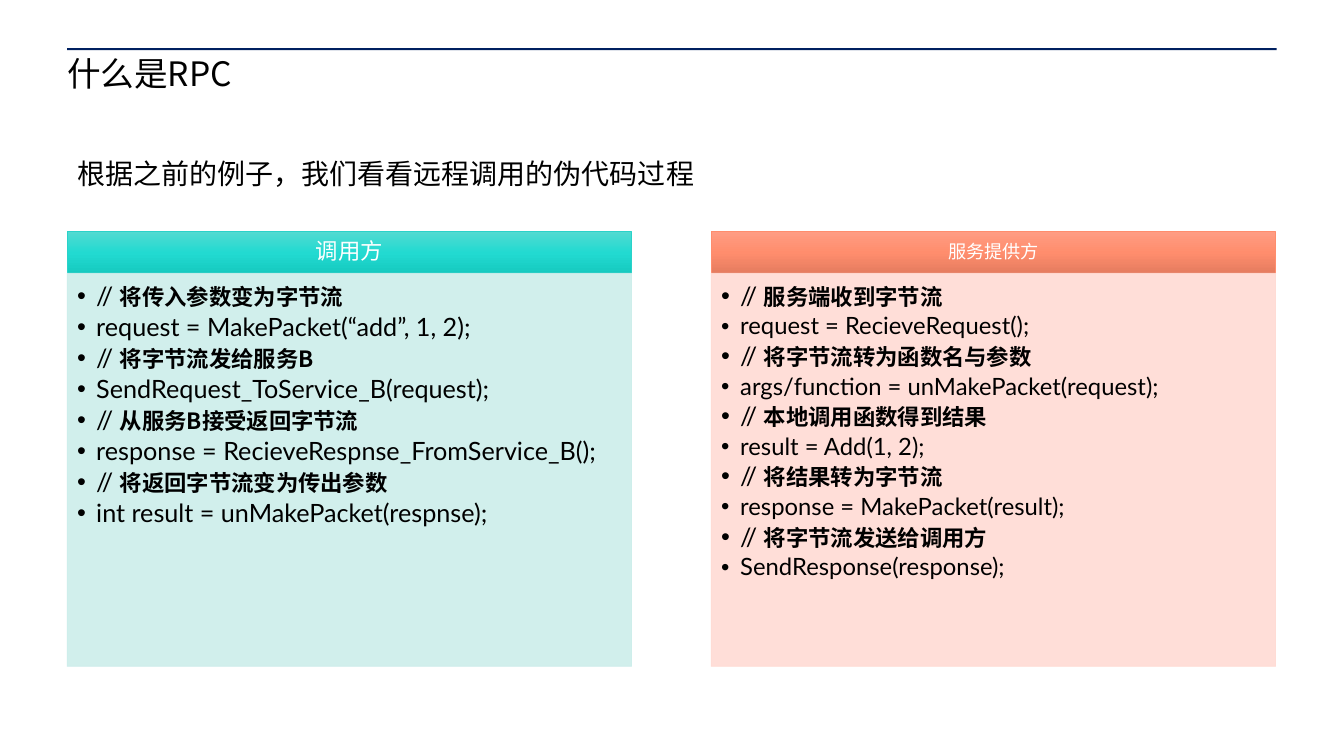
"""Build the slide that shows both sides of a remote call."""
from dataclasses import dataclass

from lxml.etree import SubElement as Sub
from pptx import Presentation
from pptx.dml.color import RGBColor as Rgb
from pptx.enum.shapes import MSO_SHAPE as Kind
from pptx.enum.text import MSO_ANCHOR as Anchor, PP_ALIGN as Align
from pptx.oxml.ns import qn
from pptx.util import Pt

HAN = "Noto Sans CJK SC"
LATO = "Lato"
LEFT, WIDE, GAP = 48, 403.2, 56.8
TOP, HEAD, BODY = 165.6, 29.6, 280.8


@dataclass(frozen=True)
class Panel:
    title: str
    size: float
    inset: tuple[float, ...]
    shades: tuple[str, ...]
    edge: str
    tint: str
    code: float
    steps: tuple[tuple[str, str], ...]


PANELS = (
    Panel("调用方", 16, (8.6, 5, 8.6, 5), ("52DAD1", "22DAD1", "16CAC0"), "2AD2C9", "CDEEEB", 18, (
        ("将传入参数变为字节流", "request = MakePacket(“add”, 1, 2);"),
        ("将字节流发给服务B", "SendRequest_ToService_B(request);"),
        ("从服务B接受返回字节流", "response = RecieveRespnse_FromService_B();"),
        ("将返回字节流变为传出参数", "int result = unMakePacket(respnse);"),
    )),
    Panel("服务提供方", 13, (7.2, 4.3, 7.2, 4.3), ("FF9C83", "FF8D6D", "E57C5F"), "FF8D6D", "FFDBD4", 17, (
        ("服务端收到字节流", "request = RecieveRequest();"),
        ("将字节流转为函数名与参数", "args/function = unMakePacket(request);"),
        ("本地调用函数得到结果", "result = Add(1, 2);"),
        ("将结果转为字节流", "response = MakePacket(result);"),
        ("将字节流发送给调用方", "SendResponse(response);"),
    )),
)


def tone(code: str) -> Rgb:
    return Rgb.from_string(code)


def fade(color, share: int) -> None:
    Sub(color, qn("a:alpha"), val=str(share * 1000))


def add_run(para, text: str, size: float, face: str, color: str = "000000", bold: bool = False) -> None:
    run = para.add_run()
    run.text = text
    font = run.font
    font.size, font.bold, font.name = Pt(size), bold, face
    font.color.rgb = tone(color)
    Sub(run._r.get_or_add_rPr(), qn("a:ea"), typeface=HAN)


def set_frame(frame, inset: tuple[float, ...], wrap: bool = True, anchor=Anchor.TOP) -> None:
    frame.word_wrap, frame.vertical_anchor = wrap, anchor
    (frame.margin_left, frame.margin_top,
     frame.margin_right, frame.margin_bottom) = map(Pt, inset)


def add_box(slide, x: float, y: float, w: float, h: float, color: str):
    box = slide.shapes.add_shape(Kind.RECTANGLE, Pt(x), Pt(y), Pt(w), Pt(h))
    box.shadow.inherit = False
    box.fill.solid()
    box.fill.fore_color.rgb = tone(color)
    box.line.color.rgb = tone(color)
    box.line.width = Pt(0.5)
    return box


def add_note(slide, y: float, w: float, h: float, text: str, size: float,
             inset: tuple[float, ...], wrap: bool, space: float) -> None:
    box = slide.shapes.add_textbox(Pt(LEFT), Pt(y), Pt(w), Pt(h))
    set_frame(box.text_frame, inset, wrap)
    para = box.text_frame.paragraphs[0]
    para.line_spacing = space
    add_run(para, text, size, HAN)


def blend(box, shades: tuple[str, ...]) -> None:
    box.fill.gradient()
    box.fill.gradient_angle = 270
    stops = next(box._element.spPr.iter(qn("a:gsLst")))
    for stop in list(stops):
        stops.remove(stop)
    for rank, shade in enumerate(shades):
        stop = Sub(stops, qn("a:gs"), pos=str(rank * 50000))
        Sub(stop, qn("a:srgbClr"), val=shade)


def add_line(frame, first: bool):
    para = frame.paragraphs[0] if first else frame.add_paragraph()
    para.alignment, para.line_spacing = Align.LEFT, 0.9
    props = para._p.get_or_add_pPr()
    props.set("marL", str(Pt(13.7)))
    props.set("indent", str(-Pt(13.7)))
    Sub(Sub(props, qn("a:spcAft")), qn("a:spcPct"), val="15000")
    Sub(props, qn("a:buFont"), typeface="Arial")
    Sub(props, qn("a:buChar"), char="•")
    return para


def add_panel(slide, x: float, panel: Panel) -> None:
    head = add_box(slide, x, TOP, WIDE, HEAD, panel.edge)
    blend(head, panel.shades)
    set_frame(head.text_frame, panel.inset, anchor=Anchor.MIDDLE)
    para = head.text_frame.paragraphs[0]
    para.alignment, para.line_spacing = Align.CENTER, 0.9
    add_run(para, panel.title, panel.size, LATO, "FFFFFF")

    body = add_box(slide, x, TOP + HEAD, WIDE, BODY, panel.tint)
    for color in body._element.spPr.iter(qn("a:srgbClr")):
        fade(color, 90)
    frame = body.text_frame
    set_frame(frame, (7.2, 7.2, 10, 11.5))
    for rank, (note, code) in enumerate(panel.steps):
        para = add_line(frame, rank == 0)
        add_run(para, "// ", 18, LATO)
        add_run(para, note, 16, HAN, bold=True)
        add_run(add_line(frame, False), code, panel.code, LATO)


def main() -> None:
    deck = Presentation()
    deck.slide_width, deck.slide_height = Pt(960), Pt(540)
    slide = deck.slides.add_slide(deck.slide_layouts[6])
    rule = add_box(slide, LEFT, 34.4, 864, 1.4, "002060")
    rule.line.fill.background()
    add_note(slide, 41, 863.3, 67, "什么是RPC", 24, (0, 0, 0, 0), True, 0.9)
    for rank, panel in enumerate(PANELS):
        add_panel(slide, LEFT + rank * (WIDE + GAP), panel)
    add_note(slide, 108, 458.6, 31.7, "根据之前的例子，我们看看远程调用的伪代码过程",
             20, (7.2, 3.6, 7.2, 3.6), False, 1.0)
    deck.save("out.pptx")


if __name__ == "__main__":
    main()
